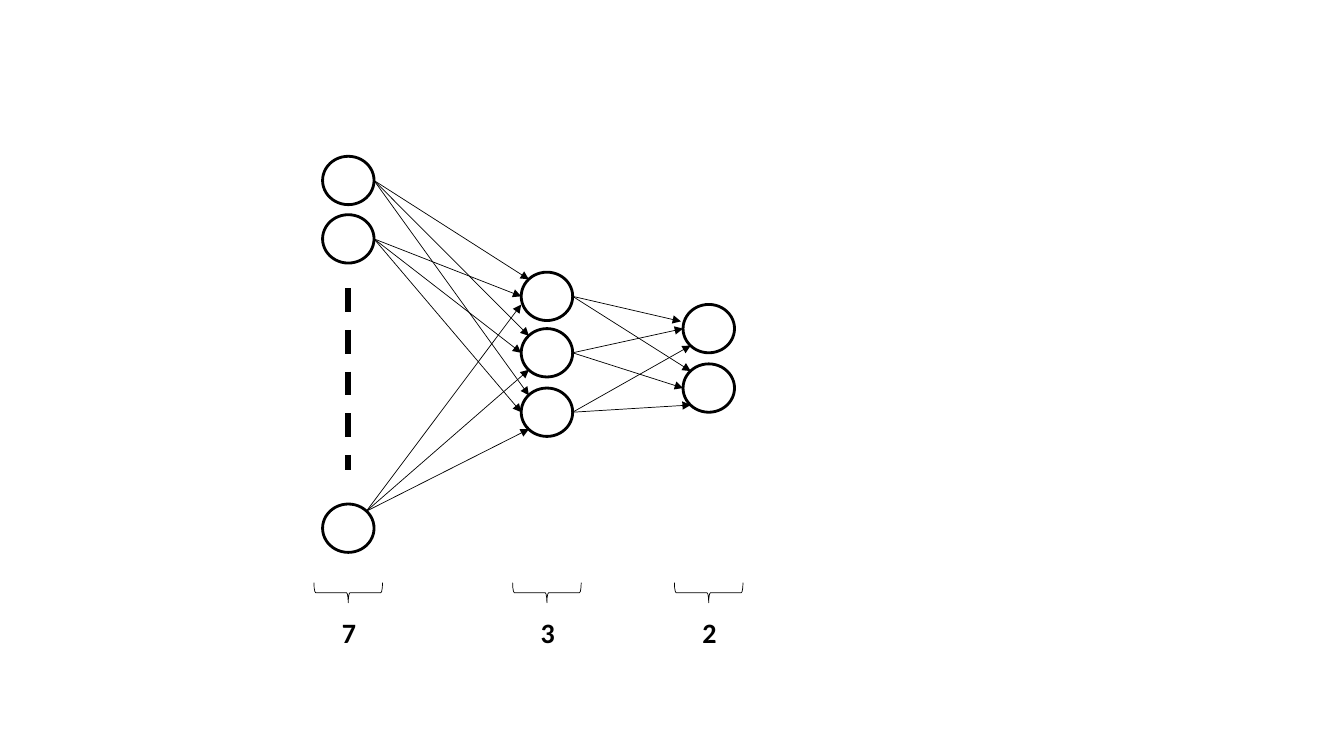
"""Build a slide with a 7-3-2 neural network diagram."""
from pptx import Presentation
from pptx.dml.color import RGBColor
from pptx.enum.dml import MSO_LINE
from pptx.enum.shapes import MSO_CONNECTOR, MSO_SHAPE
from pptx.enum.text import MSO_AUTO_SIZE
from pptx.oxml.ns import qn
from pptx.util import Inches, Pt
from lxml.etree import SubElement

INK = "000000"

prs = Presentation()
prs.slide_width, prs.slide_height = Inches(13.33), Inches(7.5)
s = prs.slides.add_slide(prs.slide_layouts[6])


def scale(*lengths):
    """Turn alternating x and y percentages of the slide into EMU."""
    sizes = (prs.slide_width, prs.slide_height)
    return [round(v * sizes[i % 2] / 100) for i, v in enumerate(lengths)]


def set_line(sp, width, color=INK):
    """Give a shape or connector a solid line and no shadow."""
    sp.line.color.rgb = RGBColor.from_string(color)
    sp.line.width = Pt(width)
    if sp in outlines:
        sp.shadow.inherit = False
        sp.fill.background()
    else:
        SubElement(sp._element.spPr, qn("a:effectLst"))


node_w, node_h = 3.83, 6.4
brace_w, brace_h = 1.5, 9.07
layers = [
    (24, [20.67, 28.4, 66.67], "7"),
    (38.78, [36, 43.47, 51.33], "3"),
    (50.82, [40.27, 48.13], "2"),
]
entries = [(0.15, 0.15), (0, 0.5), (0.15, 0.85)]
special_entries = {(0, 2, 0): (0, 0.67), (1, 0, 0): (-0.04, 0.35)}
special_exits = {(0, 2): (0.85, 0.15)}
outlines = []

for x, tops, count in layers:
    for top in tops:
        sp = s.shapes.add_shape(MSO_SHAPE.OVAL, *scale(x, top, node_w, node_h))
        outlines.append(sp)
        set_line(sp, 2)

    sp = s.shapes.add_shape(MSO_SHAPE.LEFT_BRACE, *scale(
        x + (node_w - brace_w) / 2, 78.4 - brace_h / 2, brace_w, brace_h))
    sp.rotation = 270
    outlines.append(sp)
    set_line(sp, 0.5)

    tf = s.shapes.add_textbox(*scale(x + 0.7, 80.7, 5.85, 5.87)).text_frame
    tf.word_wrap = True
    tf.auto_size = MSO_AUTO_SIZE.SHAPE_TO_FIT_TEXT
    tf.text = count
    r = tf.paragraphs[0].runs[0]
    r.font.name, r.font.size, r.font.bold = "Calibri", Pt(20), True
    r.font.color.rgb = RGBColor.from_string(INK)

for n, (x1, sources, _) in enumerate(layers[:-1]):
    x2, targets, _ = layers[n + 1]
    for i, top1 in enumerate(sources):
        out_x, out_y = special_exits.get((n, i), (1, 0.5))
        for j, top2 in enumerate(targets):
            in_x, in_y = special_entries.get((n, i, j), entries[i])
            arrow = s.shapes.add_connector(MSO_CONNECTOR.STRAIGHT, *scale(
                x1 + out_x * node_w, top1 + out_y * node_h,
                x2 + in_x * node_w, top2 + in_y * node_h))
            set_line(arrow, 0.5)
            SubElement(arrow.line._get_or_add_ln(), qn("a:tailEnd"), type="triangle")

center = layers[0][0] + node_w / 2
dashes = s.shapes.add_connector(
    MSO_CONNECTOR.STRAIGHT, *scale(center, 38.13, center, 62.13))
set_line(dashes, 4.25)
dashes.line.dash_style = MSO_LINE.DASH

prs.save("out.pptx")
